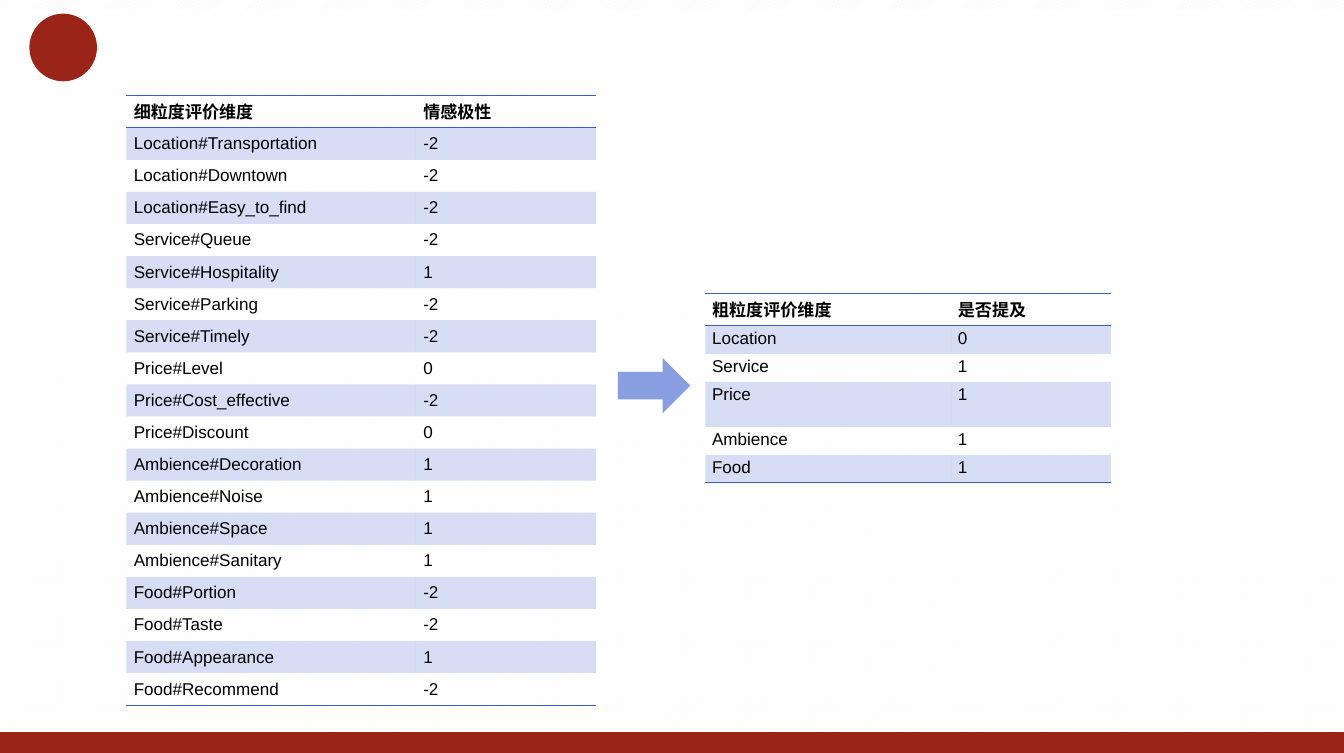
from lxml import etree
from pptx import Presentation
from pptx import util as u
from pptx.dml.color import RGBColor
from pptx.enum import dml, shapes, text
from pptx.oxml.ns import qn

WHITE = RGBColor(0xFF, 0xFF, 0xFF)
PALE_GREY = RGBColor(0xF2, 0xF2, 0xF2)
BLACK = RGBColor(0, 0, 0)
RED = RGBColor(0x9A, 0x24, 0x18)
BLUE = RGBColor(0x3B, 0x5D, 0xCC)
LIGHT_BLUE = RGBColor(0x89, 0x9E, 0xE0)
PLAIN_TABLE_STYLE = "{2D5ABB26-0587-4C30-8999-92F81FD0307C}"

FINE_RATINGS = [
    ("细粒度评价维度", "情感极性"),
    ("Location#Transportation", "-2"),
    ("Location#Downtown", "-2"),
    ("Location#Easy_to_find", "-2"),
    ("Service#Queue", "-2"),
    ("Service#Hospitality", "1"),
    ("Service#Parking", "-2"),
    ("Service#Timely", "-2"),
    ("Price#Level", "0"),
    ("Price#Cost_effective", "-2"),
    ("Price#Discount", "0"),
    ("Ambience#Decoration", "1"),
    ("Ambience#Noise", "1"),
    ("Ambience#Space", "1"),
    ("Ambience#Sanitary", "1"),
    ("Food#Portion", "-2"),
    ("Food#Taste", "-2"),
    ("Food#Appearance", "1"),
    ("Food#Recommend", "-2"),
]
COARSE_MENTIONS = [
    ("粗粒度评价维度", "是否提及"),
    ("Location", "0"),
    ("Service", "1"),
    ("Price", "1"),
    ("Ambience", "1"),
    ("Food", "1"),
]


def set_opacity(element, *percents):
    for color, percent in zip(element.iter(qn("a:srgbClr")), percents):
        etree.SubElement(color, qn("a:alpha"), val=str(percent * 1000))


class SlideBuilder:
    font_name = "Arial"
    font_size = u.Pt(18)
    rule_width = u.Pt(1)

    def __init__(self, slide):
        self.slide = slide

    def background(self):
        fill = self.slide.background.fill
        fill.patterned()
        fill.pattern = dml.MSO_PATTERN.WIDE_UPWARD_DIAGONAL
        fill.fore_color.rgb = PALE_GREY
        fill.back_color.rgb = WHITE

    def shape(self, kind, left, top, width, height, color):
        shape = self.slide.shapes.add_shape(
            kind, u.Inches(left), u.Inches(top), u.Inches(width), u.Inches(height))
        shape.shadow.inherit = False
        shape.line.fill.background()
        shape.fill.solid()
        shape.fill.fore_color.rgb = color
        return shape

    def veil(self, left, top, width, height):
        shape = self.shape(shapes.MSO_SHAPE.RECTANGLE, left, top, width, height, WHITE)
        shape.fill.gradient()
        shape.fill.gradient_angle = 270
        for stop, position in zip(shape.fill.gradient_stops, (0, 1)):
            stop.color.rgb = WHITE
            stop.position = position
        set_opacity(shape.fill._xPr, 90, 70)

    def border(self, cell, side):
        line = etree.SubElement(cell._tc.get_or_add_tcPr(), qn(f"a:{side}"),
                                w=str(self.rule_width))
        fill = etree.SubElement(line, qn("a:solidFill"))
        etree.SubElement(fill, qn("a:srgbClr"), val=str(BLUE))

    def cell(self, cell, value, is_header, is_last, is_banded, inset, anchor):
        cell.text = value
        cell.margin_left = cell.margin_right = u.Inches(inset)
        cell.margin_top = cell.margin_bottom = u.Inches(0.05)
        cell.vertical_anchor = anchor
        if is_header:
            self.border(cell, "lnT")
        if is_header or is_last:
            self.border(cell, "lnB")
        if is_banded:
            cell.fill.solid()
            cell.fill.fore_color.rgb = BLUE
            set_opacity(cell._tc.tcPr.find(qn("a:solidFill")), 20)
        else:
            cell.fill.background()
        font = cell.text_frame.paragraphs[0].font
        font.name = self.font_name
        font.size = self.font_size
        font.bold = is_header
        font.color.rgb = BLACK

    def table(self, left, top, widths, heights, rows, inset, anchor):
        frame = self.slide.shapes.add_table(
            len(rows), len(widths), u.Inches(left), u.Inches(top),
            u.Inches(sum(widths)), u.Inches(sum(heights)))
        table = frame.table
        table._tbl.tblPr.find(qn("a:tableStyleId")).text = PLAIN_TABLE_STYLE
        for column, width in zip(table.columns, widths):
            column.width = u.Inches(width)
        for index, (row, height, values) in enumerate(zip(table.rows, heights, rows)):
            row.height = u.Inches(height)
            for cell, value in zip(row.cells, values):
                self.cell(cell, value, index == 0, index == len(rows) - 1, index % 2 == 1,
                          inset, text.MSO_ANCHOR.TOP if index == 0 else anchor)


def main():
    presentation = Presentation()
    presentation.slide_width = u.Cm(50)
    presentation.slide_height = u.Cm(28)
    builder = SlideBuilder(presentation.slides.add_slide(presentation.slide_layouts[6]))
    builder.background()
    builder.veil(0, 0.15, 19.69, 11.02)
    builder.shape(shapes.MSO_SHAPE.OVAL, 0.43, 0.2, 0.99, 0.99, RED)
    builder.shape(shapes.MSO_SHAPE.RECTANGLE, 0, 10.72, 19.69, 0.46, RED)
    builder.table(1.85, 1.4, (4.24, 2.64), [0.47] * len(FINE_RATINGS),
                  FINE_RATINGS, 0.11, text.MSO_ANCHOR.MIDDLE)
    builder.table(10.33, 4.3, (3.6, 2.34), (0.47, 0.41, 0.41, 0.66, 0.41, 0.41),
                  COARSE_MENTIONS, 0.1, text.MSO_ANCHOR.TOP)
    builder.shape(shapes.MSO_SHAPE.RIGHT_ARROW, 9.05, 5.24, 1.06, 0.81, LIGHT_BLUE)
    presentation.save("out.pptx")


if __name__ == "__main__":
    main()
